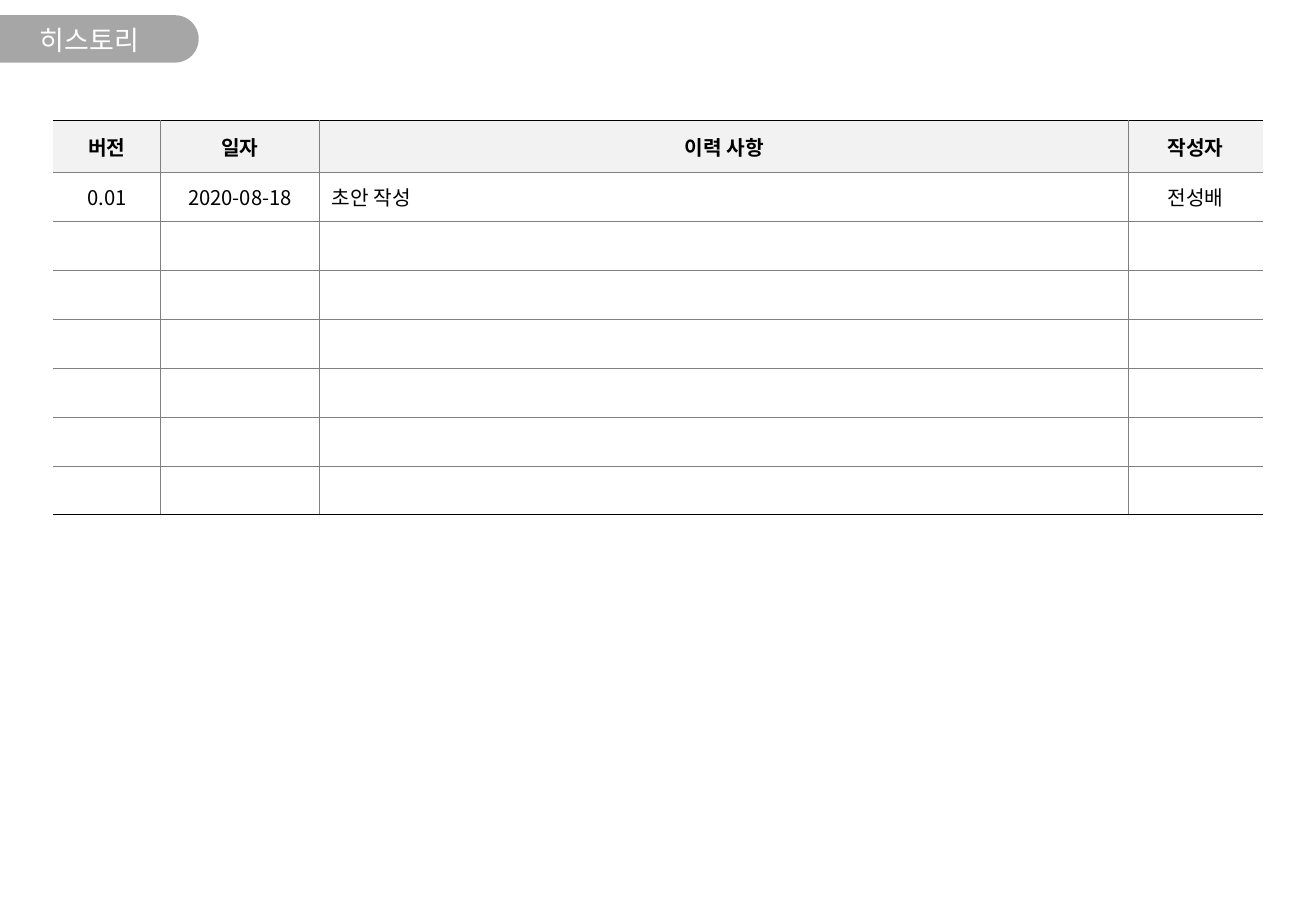
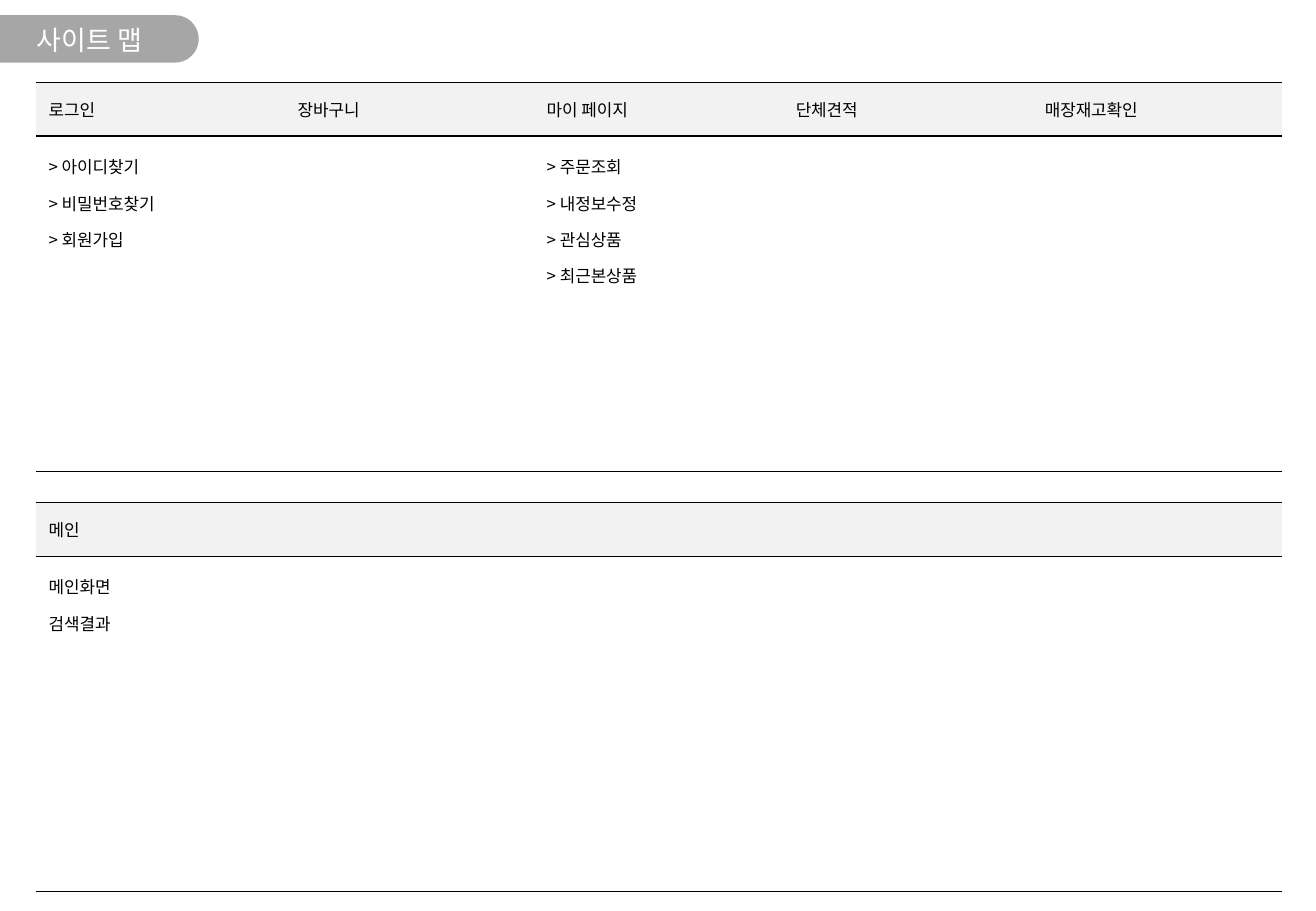
from lxml import etree
from pptx import Presentation
from pptx.dml.color import RGBColor
from pptx.enum import shapes, text
from pptx.oxml.ns import qn
from pptx.util import Inches, Pt

# Shared look
FONT = "Noto Sans CJK KR"
BLACK, WHITE, GRAY = "000000", "FFFFFF", "808080"
BAND, HEADER = "A6A6A6", "F2F2F2"
STRONG, THIN = (BLACK, 0.75), (GRAY, 0.5)
PLAIN_TABLE = "{2D5ABB26-0587-4C30-8999-92F81FD0307C}"
CENTER, LEFT = text.PP_ALIGN.CENTER, text.PP_ALIGN.LEFT
MIDDLE, TOP = text.MSO_ANCHOR.MIDDLE, text.MSO_ANCHOR.TOP

HISTORY = [["버전", "일자", "이력 사항", "작성자"],
           ["0.01", "2020-08-18", "초안 작성", "전성배"]]
HISTORY_ROWS = 8
MENUS = {"로그인": ["> 아이디찾기", "> 비밀번호찾기", "> 회원가입"],
         "장바구니": [],
         "마이 페이지": ["> 주문조회", "> 내정보수정", "> 관심상품", "> 최근본상품"],
         "단체견적": [],
         "매장재고확인": []}
MAIN_PAGES = {"메인": ["메인화면", "검색결과"]}
MENU_COLUMNS = 5


def color(value):
    return RGBColor.from_string(value)


def add_run(paragraph, words, size, ink=BLACK, bold=False):
    run = paragraph.add_run()
    run.text = words
    font = run.font
    font.size, font.bold, font.name = Pt(size), bold, FONT
    font.color.rgb = color(ink)
    east_asian = etree.SubElement(font._element, qn("a:ea"))
    east_asian.set("typeface", FONT)


def write_cell(cell, lines, size, align=LEFT, anchor=MIDDLE, bold=False, spacing=None):
    cell.vertical_anchor = anchor
    frame = cell.text_frame
    if not lines:
        # An empty cell keeps the table's text size, so its row does not grow
        end = etree.SubElement(frame.paragraphs[0]._p, qn("a:endParaRPr"))
        end.set("sz", str(size * 100))
    for i, line in enumerate(lines):
        paragraph = frame.paragraphs[0] if i == 0 else frame.add_paragraph()
        paragraph.alignment = align
        paragraph.line_spacing = spacing
        add_run(paragraph, line, size, bold=bold)


def style_cell(cell, fill, left=None, right=None, top=None, bottom=None):
    properties = cell._tc.get_or_add_tcPr()
    for side, border in zip("LRTB", (left, right, top, bottom)):
        line = etree.SubElement(properties, qn(f"a:ln{side}"))
        if border is None:
            etree.SubElement(line, qn("a:noFill"))
            continue
        ink, width = border
        line.set("w", str(Pt(width)))
        solid = etree.SubElement(line, qn("a:solidFill"))
        etree.SubElement(solid, qn("a:srgbClr")).set("val", ink)
    if fill:
        cell.fill.solid()
        cell.fill.fore_color.rgb = color(fill)
    else:
        cell.fill.background()


def add_grid(slide, left, top, widths, heights):
    frame = slide.shapes.add_table(len(heights), len(widths), left, top,
                                   sum(widths), sum(heights))
    grid = frame.table
    grid._tbl.tblPr.find(qn("a:tableStyleId")).text = PLAIN_TABLE
    grid.horz_banding = False
    for column, width in zip(grid.columns, widths):
        column.width = width
    for row, height in zip(grid.rows, heights):
        row.height = height
    return grid


def add_band(slide, layout):
    """Put the grey title tab on the layout, behind everything."""
    band = slide.shapes.add_shape(shapes.MSO_SHAPE.ROUND_2_SAME_RECTANGLE, Inches(0.62),
                                  Inches(-0.5), Inches(0.39), Inches(1.64))
    band.rotation = 90
    band.adjustments[0], band.adjustments[1] = 0.5, 0
    band.shadow.inherit = False
    band.fill.solid()
    band.fill.fore_color.rgb = color(BAND)
    band.line.fill.background()
    layout.shapes.element.insert(2, band.element)


def add_title(slide, words):
    title = slide.shapes.title
    title.left, title.top = Inches(-0.01), Inches(0.13)
    title.width, title.height = Inches(1.49), Inches(0.39)
    frame = title.text_frame
    frame.auto_size = text.MSO_AUTO_SIZE.NONE
    frame.vertical_anchor = MIDDLE
    frame.paragraphs[0].alignment = CENTER
    add_run(frame.paragraphs[0], words, 16, WHITE)


def add_history(slide):
    widths = [Inches(w) for w in (0.88, 1.31, 6.66, 1.1)]
    body_rows = HISTORY_ROWS - 1
    heights = [Inches(0.43)] + [Inches(2.82) // body_rows] * body_rows
    grid = add_grid(slide, Inches(0.44), Inches(0.99), widths, heights)
    last_column = len(widths) - 1
    for r in range(HISTORY_ROWS):
        for c in range(len(widths)):
            cell = grid.cell(r, c)
            lines = [HISTORY[r][c]] if r < len(HISTORY) else []
            align = LEFT if r and c == 2 else CENTER
            write_cell(cell, lines, 12, align, bold=r == 0)
            style_cell(cell, None if r else HEADER,
                       left=THIN if c else None,
                       right=THIN if c < last_column else None,
                       top=THIN if r else STRONG,
                       bottom=THIN if r < body_rows else STRONG)


def add_menu(slide, top, menus):
    widths = [Inches(2.05)] * MENU_COLUMNS
    grid = add_grid(slide, Inches(0.3), top, widths, [Inches(0.44), Inches(2.76)])
    columns = [([name], pages) for name, pages in menus.items()]
    columns += [([], [])] * (MENU_COLUMNS - len(columns))
    for c, (heading, pages) in enumerate(columns):
        write_cell(grid.cell(0, c), heading, 10)
        write_cell(grid.cell(1, c), pages, 10, anchor=TOP, spacing=1.5)
        for r, fill in enumerate((HEADER, WHITE)):
            style_cell(grid.cell(r, c), fill, top=STRONG, bottom=STRONG)


def main():
    deck = Presentation()
    deck.slide_width, deck.slide_height = Inches(10.83), Inches(7.5)
    layout = deck.slide_layouts[5]

    # Version history
    history = deck.slides.add_slide(layout)
    add_band(history, layout)
    add_title(history, "히스토리")
    add_history(history)

    # Site map
    site_map = deck.slides.add_slide(layout)
    add_title(site_map, "사이트 맵")
    add_menu(site_map, Inches(0.68), MENUS)
    add_menu(site_map, Inches(4.14), MAIN_PAGES)

    deck.save("out.pptx")


main()
